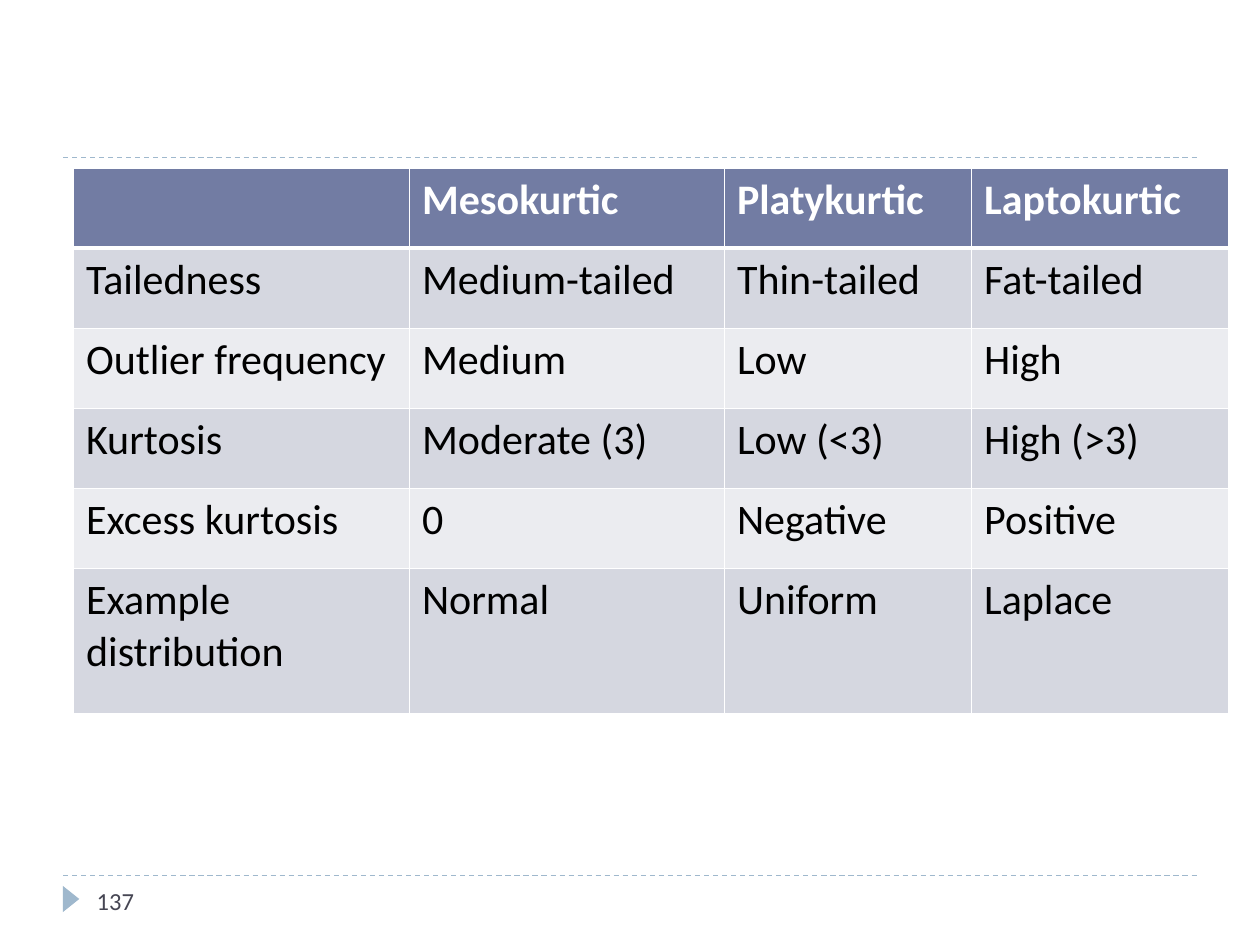
from lxml import etree
from pptx import Presentation
from pptx.dml.color import RGBColor
from pptx.enum.dml import MSO_LINE
from pptx.enum.shapes import MSO_CONNECTOR, MSO_SHAPE
from pptx.enum.text import MSO_ANCHOR
from pptx.oxml.ns import qn
from pptx.util import Pt

DASH = MSO_LINE.DASH
STRAIGHT = MSO_CONNECTOR.STRAIGHT
TRIANGLE = MSO_SHAPE.ISOSCELES_TRIANGLE
MIDDLE = MSO_ANCHOR.MIDDLE

# Content
ROWS = [
    ("", "Mesokurtic", "Platykurtic", "Laptokurtic"),
    ("Tailedness", "Medium-tailed", "Thin-tailed", "Fat-tailed"),
    ("Outlier frequency", "Medium", "Low", "High"),
    ("Kurtosis", "Moderate (3)", "Low (<3)", "High (>3)"),
    ("Excess kurtosis", "0", "Negative", "Positive"),
    ("Example distribution", "Normal", "Uniform", "Laplace"),
]
PAGE_NUMBER = "137"

THEME = {
    "font": "Calibri", "table_size": 24, "number_size": 14,
    "accent": "9FB8CD", "number": "464653",
    "header": "727CA3", "bands": ("D5D7E0", "EBECF0"),
    "header_text": "FFFFFF", "body_text": "000000", "border": "FFFFFF",
}

# Layout in points
LEFT, RIGHT = 36, 684
RULES_Y = (90, 500.4)
TABLE_X, TABLE_Y = 42, 96
COL_WIDTHS = (192, 180, 141.2, 146.8)
ROW_HEIGHTS = [45.8] * 5 + [82.8]


def color(name):
    return RGBColor.from_string(name)


def write(tf, text, size, rgb, bold=False):
    r = tf.paragraphs[0].add_run()
    r.text = text
    formats = {"name": THEME["font"], "size": Pt(size), "bold": bold}
    for key, value in formats.items():
        setattr(r.font, key, value)
    r.font.color.rgb = color(rgb)


def add_rule(s, y):
    line = s.shapes.add_connector(STRAIGHT, Pt(LEFT), Pt(y), Pt(RIGHT), Pt(y))
    line.line.color.rgb = color(THEME["accent"])
    line.line.width = Pt(0.75)
    line.line.dash_style = DASH
    etree.SubElement(line._element.spPr, qn("a:effectLst"))


def set_borders(cell, widths):
    tcPr = cell._tc.get_or_add_tcPr()
    for i, (side, width) in enumerate(widths.items()):
        ln = etree.Element(qn(f"a:ln{side}"), w=str(Pt(width)))
        fill = etree.SubElement(ln, qn("a:solidFill"))
        etree.SubElement(fill, qn("a:srgbClr"), val=THEME["border"])
        tcPr.insert(i, ln)


def add_kurtosis_table(s):
    frame = s.shapes.add_table(len(ROWS), len(COL_WIDTHS), Pt(TABLE_X), Pt(TABLE_Y),
                               Pt(sum(COL_WIDTHS)), Pt(sum(ROW_HEIGHTS)))
    table = frame.table
    for column, width in zip(table.columns, COL_WIDTHS):
        column.width = Pt(width)
    for i, (row, height, texts) in enumerate(zip(table.rows, ROW_HEIGHTS, ROWS)):
        row.height = Pt(height)
        header = i == 0
        fill = THEME["header"] if header else THEME["bands"][(i - 1) % 2]
        rgb = THEME["header_text" if header else "body_text"]
        # A thick rule parts the header from the body
        borders = {"L": 1, "R": 1, "T": 3 if i == 1 else 1, "B": 3 if header else 1}
        for cell, text in zip(row.cells, texts):
            cell.fill.solid()
            cell.fill.fore_color.rgb = color(fill)
            set_borders(cell, borders)
            if text:
                write(cell.text_frame, text, THEME["table_size"], rgb, header)


def add_footer(s):
    # Marker pointing right
    marker = s.shapes.add_shape(TRIANGLE, Pt(33.1), Pt(509), Pt(15), Pt(9.4))
    marker.rotation = 90
    marker.shadow.inherit = False
    marker.fill.solid()
    marker.fill.fore_color.rgb = color(THEME["accent"])
    marker.line.fill.background()
    # Page number
    box = s.shapes.add_textbox(Pt(48.2), Pt(500.4), Pt(156), Pt(28.8))
    tf = box.text_frame
    tf.word_wrap = True
    tf.vertical_anchor = MIDDLE
    write(tf, PAGE_NUMBER, THEME["number_size"], THEME["number"])


def main():
    prs = Presentation()
    prs.slide_width, prs.slide_height = Pt(720), Pt(540)
    s = prs.slides.add_slide(prs.slide_layouts[6])
    for y in RULES_Y:
        add_rule(s, y)
    add_footer(s)
    add_kurtosis_table(s)
    prs.save("out.pptx")


if __name__ == "__main__":
    main()
